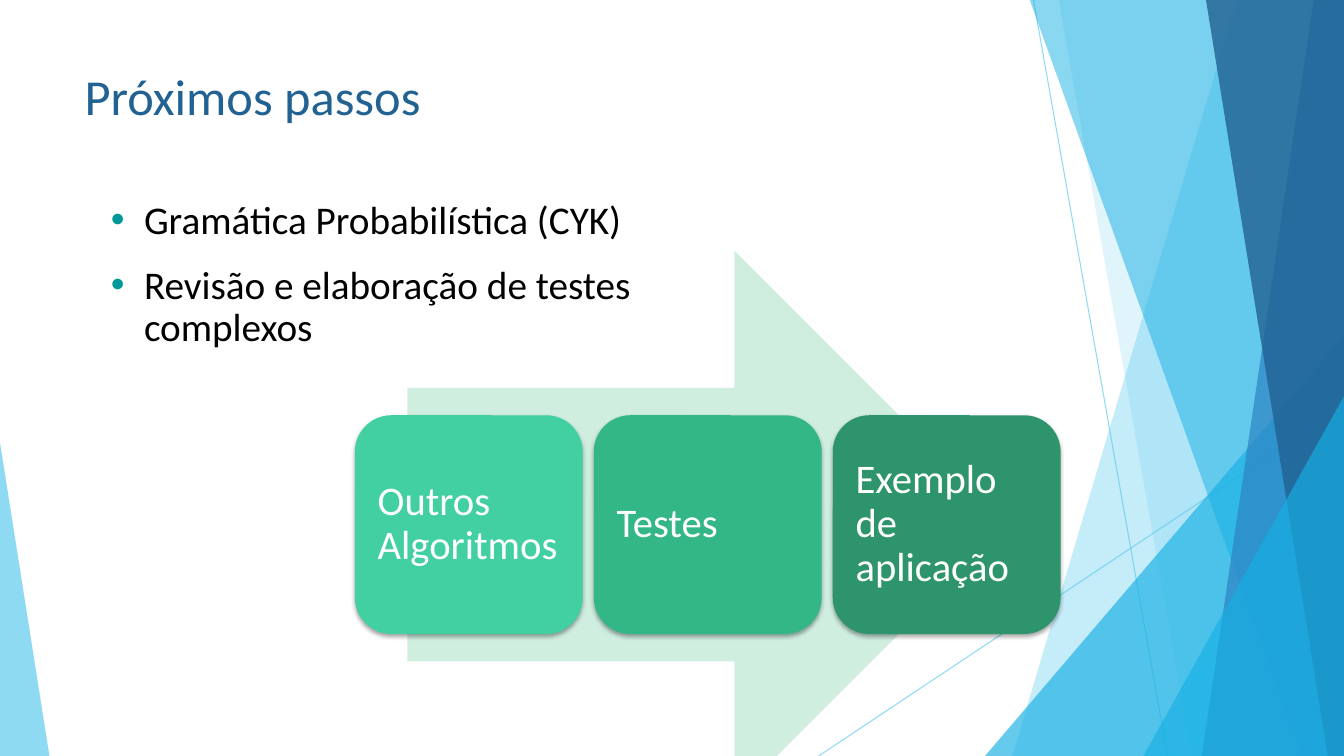
from lxml.etree import SubElement
from pptx import Presentation
from pptx.dml.color import RGBColor
from pptx.enum.shapes import MSO_CONNECTOR as Connector, MSO_SHAPE as Shape
from pptx.enum.text import MSO_ANCHOR as Anchor, PP_ALIGN as Align
from pptx.oxml.ns import qn
from pptx.util import Pt

PX = 9144  # EMU per px, 100 px to the inch
WIDTH, HEIGHT = 1333, 750
FONT = "Calibri"
COLORS = {
    "sky": "5FCBEF", "cyan": "17B0E4", "blue": "2E83C3", "navy": "226292",
    "bullet": "009999", "black": "000000", "white": "FFFFFF", "arrow": "CFEEE0",
    "mint": "42D0A2", "green": "33B787", "forest": "2E946B",
}


def rgb(name):
    return RGBColor.from_string(COLORS[name])


def px(*lengths):
    return [length * PX for length in lengths]


def set_opacity(shape, percent):
    color = shape._element.spPr.find(".//" + qn("a:srgbClr"))
    SubElement(color, qn("a:alpha"), val=str(percent * 1000))


def paint(shape, color, opacity=100):
    shape.fill.solid()
    shape.fill.fore_color.rgb = rgb(color)
    shape.line.fill.background()
    shape.shadow.inherit = False
    if opacity < 100:
        set_opacity(shape, opacity)


def add_ray(slide, start, end):
    ray = slide.shapes.add_connector(Connector.STRAIGHT, *px(*start, *end))
    ray.line.color.rgb = rgb("sky")
    ray.line.width = Pt(0.75)
    set_opacity(ray, 70)
    SubElement(ray._element.spPr, qn("a:effectLst"))


def add_band(slide, top_left, top_right, bottom_left, color, opacity):
    """Band from the top edge to the bottom edge, ending at the right side."""
    builder = slide.shapes.build_freeform(top_left, -1, scale=PX)
    builder.add_line_segments(
        [(top_right, -1), (WIDTH, HEIGHT), (bottom_left, HEIGHT)])
    paint(builder.convert_to_shape(), color, opacity)


def add_corner(slide, box, apex, color, opacity):
    corner = slide.shapes.add_shape(Shape.ISOSCELES_TRIANGLE, *px(*box))
    corner.adjustments[0] = apex
    paint(corner, color, opacity)


def format_paragraph(paragraph, size, color):
    paragraph.alignment = Align.LEFT
    paragraph.line_spacing = 0.9
    paragraph.font.name = FONT
    paragraph.font.size = Pt(size)
    paragraph.font.color.rgb = rgb(color)


def add_bullet(paragraph):
    paragraph.space_before = Pt(16)
    props = paragraph._p.get_or_add_pPr()
    props.set("marL", str(33 * PX))
    props.set("indent", str(-33 * PX))
    tint = SubElement(props, qn("a:buClr"))
    SubElement(tint, qn("a:srgbClr"), val=COLORS["bullet"])
    SubElement(props, qn("a:buFont"), typeface="Arial")
    SubElement(props, qn("a:buChar"), char="•")


def add_text(slide, box, lines, size, color, bulleted=False):
    frame = slide.shapes.add_textbox(*px(*box)).text_frame
    frame.word_wrap = True
    frame.text = "\n".join(lines)
    for paragraph in frame.paragraphs:
        if bulleted:
            add_bullet(paragraph)
        format_paragraph(paragraph, size, color)


def add_step(slide, box, label, color):
    step = slide.shapes.add_shape(Shape.ROUNDED_RECTANGLE, *px(*box))
    paint(step, color)
    effects = step._element.spPr.find(qn("a:effectLst"))
    shadow = SubElement(effects, qn("a:outerShdw"), blurRad=str(Pt(3)),
                        dist=str(Pt(2)), dir="5400000", rotWithShape="0")
    tint = SubElement(shadow, qn("a:srgbClr"), val=COLORS["black"])
    SubElement(tint, qn("a:alpha"), val="35000")

    frame = step.text_frame
    frame.word_wrap = True
    frame.vertical_anchor = Anchor.MIDDLE
    frame.margin_left = frame.margin_right = 12 * PX
    frame.margin_top = frame.margin_bottom = 12 * PX
    frame.text = label
    format_paragraph(frame.paragraphs[0], 29, "white")


def add_backdrop(slide):
    add_ray(slide, (1025, 0), (1158, HEIGHT))
    add_ray(slide, (WIDTH, 403), (812, HEIGHT))
    add_band(slide, 1227, WIDTH, 1004, "sky", 36)
    add_band(slide, 1050, WIDTH, 1182, "sky", 20)
    add_corner(slide, (977, 333, 356, 417), 1, "cyan", 66)
    add_band(slide, 1021, WIDTH, 1291, "cyan", 50)
    add_band(slide, 1303, WIDTH, 1192, "blue", 70)
    add_band(slide, 1196, WIDTH, 1317, "navy", 80)
    add_corner(slide, (1134, 393, 199, 357), 1, "cyan", 66)
    add_corner(slide, (0, 439, 49, 311), 0, "sky", 70)


def add_process(slide):
    arrow = slide.shapes.add_shape(Shape.RIGHT_ARROW, *px(404, 249, 596, 543))
    paint(arrow, "arrow")
    steps = [("Outros Algoritmos", "mint"), ("Testes", "green"),
             ("Exemplo de aplicação", "forest")]
    left, width, gap = 352, 226, 11
    for i, (label, color) in enumerate(steps):
        add_step(slide, (left + i * (width + gap), 412, width, 217), label, color)


def main():
    deck = Presentation()
    deck.slide_width, deck.slide_height = px(WIDTH, HEIGHT)
    slide = deck.slides.add_slide(deck.slide_layouts[6])

    # Coloured bands at the slide's edges
    add_backdrop(slide)

    # Title and bullet list
    add_text(slide, (74, 67, 940, 144), ["Próximos passos"], 36, "navy")
    add_text(slide, (100, 194, 555, 488),
             ["Gramática Probabilística (CYK)",
              "Revisão e elaboração de testes complexos"],
             28, "black", bulleted=True)

    # Arrow with the three next steps
    add_process(slide)

    deck.save("out.pptx")


if __name__ == "__main__":
    main()
